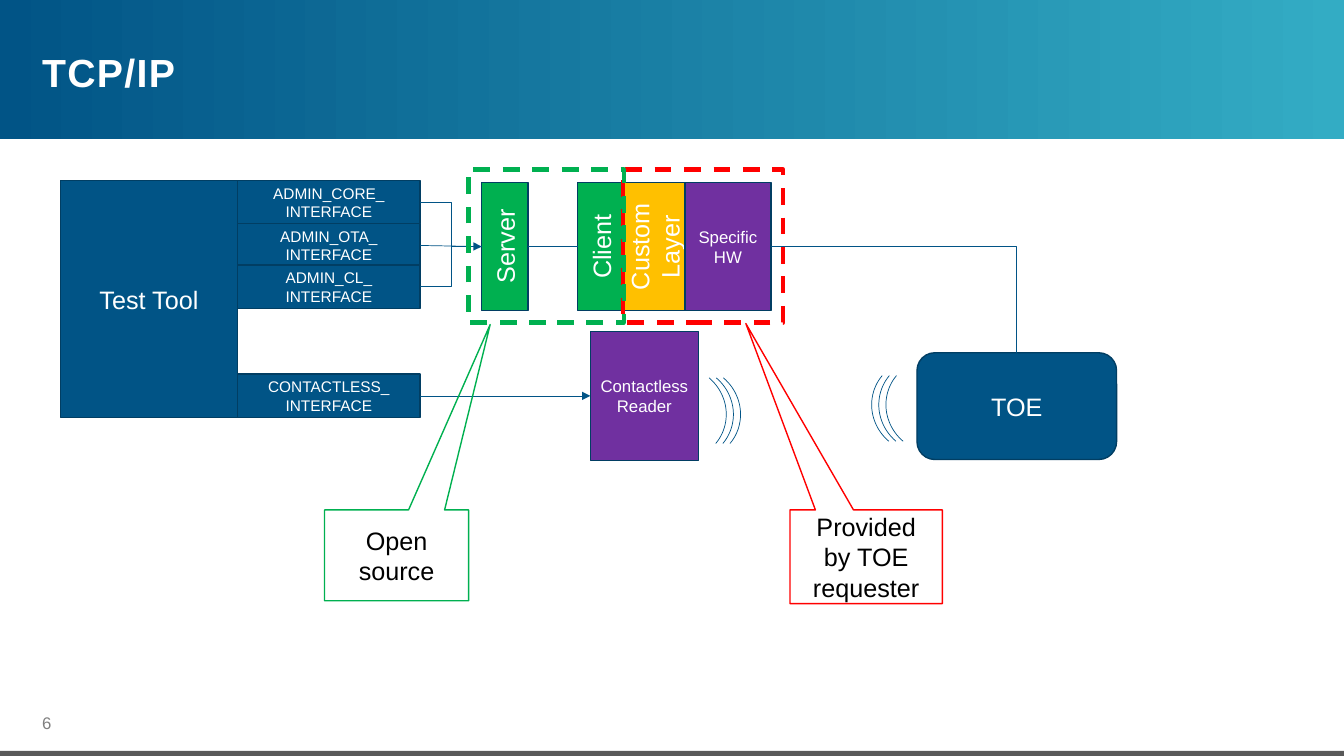
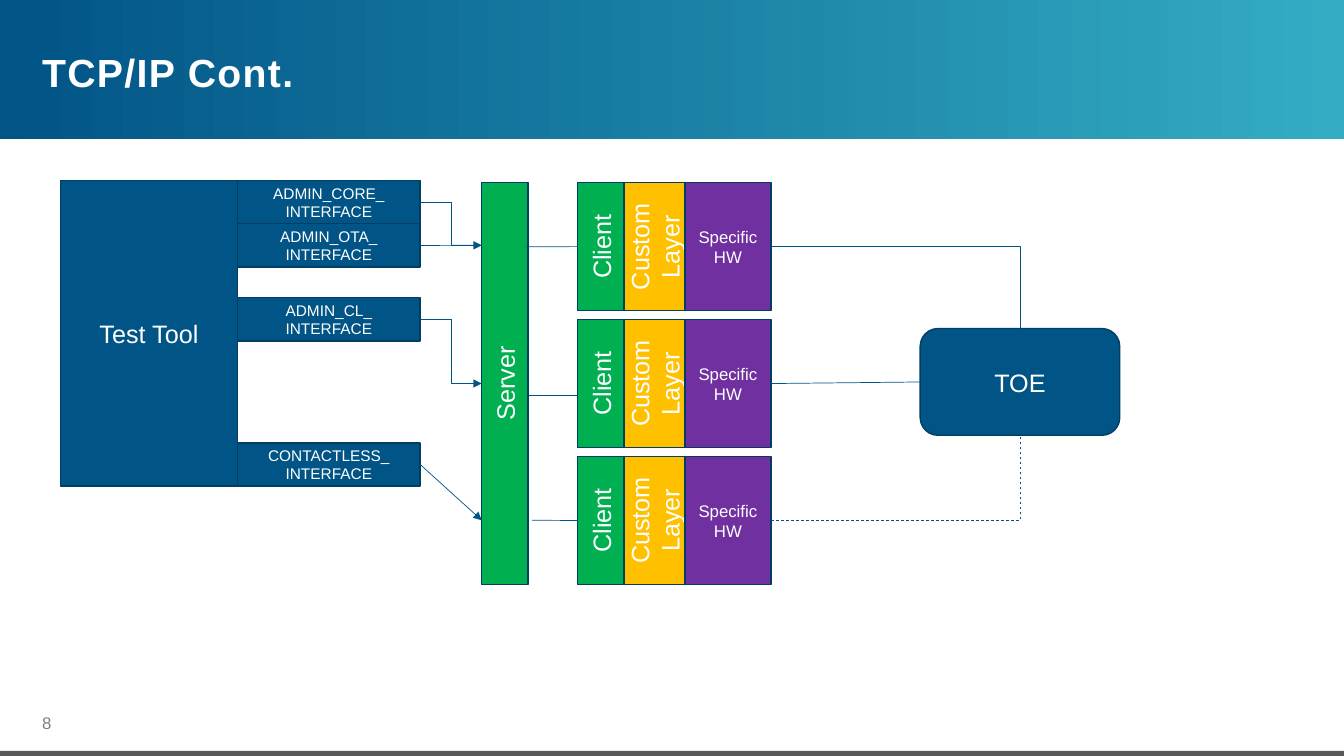
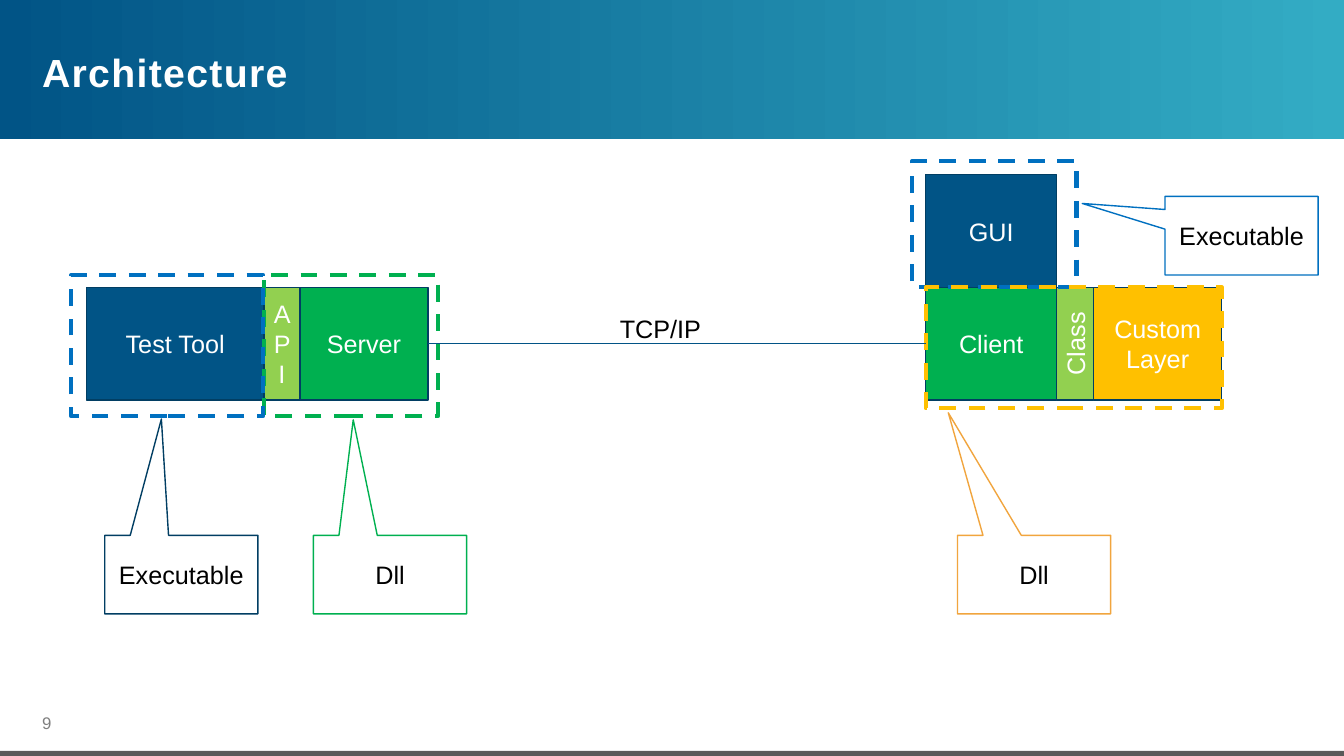
from collections import namedtuple

from lxml import etree
from pptx import Presentation
from pptx import util as u
from pptx.dml.color import RGBColor
from pptx.enum import dml, shapes, text
from pptx.oxml import ns

NAVY = RGBColor(0x01, 0x54, 0x86)
TEAL = RGBColor(0x33, 0xAC, 0xC4)
EDGE = RGBColor(0x01, 0x3E, 0x63)
GREEN = RGBColor(0x00, 0xB0, 0x50)
LIME = RGBColor(0x92, 0xD0, 0x50)
PURPLE = RGBColor(0x70, 0x30, 0xA0)
AMBER = RGBColor(0xFF, 0xC0, 0x00)
ORANGE = RGBColor(0xF1, 0xA5, 0x3E)
RED = RGBColor(0xFF, 0x00, 0x00)
BLUE = RGBColor(0x00, 0x70, 0xC0)
WHITE = RGBColor(0xFF, 0xFF, 0xFF)
BLACK = RGBColor(0x00, 0x00, 0x00)
GREY = RGBColor(0x80, 0x80, 0x80)
DARK_GREY = RGBColor(0x59, 0x59, 0x59)

FONT = "Arial"
PAGE_W, PAGE_H = 33.87, 19.05
PORT_W, PORT_H = 4.6, 1.09
ROW_LEFT, ROW_TOP, ROW_H, ROW_STEP = 14.56, 4.6, 3.23, 3.45
SERVER_LEFT, SERVER_W = 12.14, 1.17
TOP, LEFT, BOTTOM, RIGHT = range(4)

KIND = shapes.MSO_SHAPE
Box = namedtuple("Box", "left top width height")
Part = namedtuple("Part", "label width fill size upright", defaults=(18, False))

CHAIN = [
    Part("Client", 1.17, GREEN, 18, True),
    Part("Custom Layer", 1.53, AMBER, 18, True),
    Part("Specific HW", 2.17, PURPLE, 12),
]


def apply(target, values):
    for name, value in values.items():
        setattr(target, name, value)


def cm(box):
    return [u.Cm(length) for length in box]


def write(shape, label, size, color, align=text.PP_ALIGN.CENTER, bold=False):
    frame = shape.text_frame
    apply(frame, {"text": label, "word_wrap": True,
                  "vertical_anchor": text.MSO_ANCHOR.MIDDLE})
    for paragraph in frame.paragraphs:
        paragraph.alignment = align
        apply(paragraph.font, {"name": FONT, "size": u.Pt(size), "bold": bold})
        paragraph.font.color.rgb = color


def draw(canvas, kind, box, fill=None, line=EDGE, weight=1.0, dash=None):
    shape = canvas.shapes.add_shape(kind, *cm(box))
    shape.shadow.inherit = False
    if fill is None:
        shape.fill.background()
    else:
        shape.fill.solid()
        shape.fill.fore_color.rgb = fill
    if line is None:
        shape.line.fill.background()
    else:
        shape.line.color.rgb = line
        apply(shape.line, {"width": u.Pt(weight), "dash_style": dash})
    return shape


def block(slide, box, label, fill=NAVY, size=18, upright=False, kind=KIND.RECTANGLE):
    shape = draw(slide, kind, box, fill)
    write(shape, label, size, WHITE)
    if upright:
        shape.text_frame._txBody.bodyPr.set("vert", "vert270")
    return shape


def caption(slide, box, label, size, color, **style):
    shape = slide.shapes.add_textbox(*cm(box))
    write(shape, label, size, color, text.PP_ALIGN.LEFT, **style)
    apply(shape.text_frame, dict.fromkeys(
        ("margin_left", "margin_top", "margin_right", "margin_bottom"), 0))
    return shape


def outline(slide, box, color):
    draw(slide, KIND.RECTANGLE, box, None, color, 3, dml.MSO_LINE.DASH)


def callout(slide, box, label, tip, color, fill=None):
    shape = draw(slide, KIND.RECTANGULAR_CALLOUT, box, fill, color)
    shape.adjustments[0], shape.adjustments[1] = tip
    write(shape, label, 18, BLACK)


def side(shape, site):
    x = {LEFT: 0, RIGHT: 1}.get(site, 0.5)
    y = {TOP: 0, BOTTOM: 1}.get(site, 0.5)
    return (round((shape.left + shape.width * x) / u.Cm(1), 2),
            round((shape.top + shape.height * y) / u.Cm(1), 2))


def link(slide, start, end, elbow=None, arrow=False, dash=None):
    ends = [point if isinstance(point[0], (int, float)) else side(*point)
            for point in (start, end)]
    route = shapes.MSO_CONNECTOR.ELBOW if elbow else shapes.MSO_CONNECTOR.STRAIGHT
    wire = slide.shapes.add_connector(route, *cm(ends[0] + ends[1]))
    for point, joined, connect in zip((start, end), ends,
                                      (wire.begin_connect, wire.end_connect)):
        if point is not joined:
            connect(*point)
    wire.line.color.rgb = NAVY
    apply(wire.line, {"width": u.Pt(0.5), "dash_style": dash})
    properties = wire._element.spPr
    if elbow == "corner":
        properties.find(ns.qn("a:prstGeom")).set("prst", "bentConnector2")
    if arrow:
        etree.SubElement(properties.find(ns.qn("a:ln")),
                         ns.qn("a:tailEnd"), type="triangle")
    etree.SubElement(properties, ns.qn("a:effectLst"))


def page(deck, title, number):
    slide = deck.slides.add_slide(deck.slide_layouts[6])
    band = draw(slide, KIND.RECTANGLE, Box(0, 0, PAGE_W, 3.5), NAVY, None)
    band.fill.gradient()
    band.fill.gradient_angle = 0
    for stop, color, position in zip(band.fill.gradient_stops, (NAVY, TEAL), (0, 1)):
        stop.color.rgb = color
        stop.position = position
    draw(slide, KIND.RECTANGLE, Box(0, 18.92, PAGE_W, 0.13), DARK_GREY, None)
    caption(slide, Box(1.06, 17.48, 0.7, 1.47), str(number), 12, GREY)
    heading = caption(slide, Box(1.06, 0.64, 31.75, 2.54), title, 28, WHITE, bold=True)
    paragraph = heading.text_frame.paragraphs[0]
    paragraph.line_spacing = 0.8
    paragraph.runs[0]._r.get_or_add_rPr().set("spc", "100")
    return slide


def test_tool(slide, box, admin_cl_offset):
    block(slide, box, "Test Tool")
    ports = {"ADMIN_CORE_": 0, "ADMIN_OTA_": PORT_H, "ADMIN_CL_": admin_cl_offset,
             "CONTACTLESS_": box.height - PORT_H}
    return [block(slide, Box(box.left + box.width, box.top + offset, PORT_W, PORT_H),
                  f"{name}\nINTERFACE", size=11)
            for name, offset in ports.items()]


def strip(slide, left, top, height, parts):
    blocks = []
    for part in parts:
        blocks.append(block(slide, Box(left, top, part.width, height),
                            part.label, part.fill, part.size, part.upright))
        left += part.width
    return blocks


def server_bar(slide, height):
    return block(slide, Box(SERVER_LEFT, ROW_TOP, SERVER_W, height),
                 "Server", GREEN, upright=True)


def toe(slide, left, top):
    return block(slide, Box(left, top, 5.03, 2.69), "TOE", kind=KIND.ROUNDED_RECTANGLE)


def radio_waves(slide, left, top, rotation):
    waves = slide.shapes.add_group_shape()
    for step in range(3):
        wave = draw(waves, KIND.ARC, Box(left + 0.18 * step, top, 2.39, 2.31),
                    None, NAVY, 0.5)
        wave.rotation = rotation


def single_link_slide(deck):
    slide = page(deck, "TCP/IP", 6)
    core, ota, cl, contactless = test_tool(slide, Box(1.52, 4.55, 4.47, 5.97), 2.13)
    target = toe(slide, 23.11, 8.89)
    client, _, hardware = strip(slide, ROW_LEFT, ROW_TOP, ROW_H, CHAIN)
    server = server_bar(slide, ROW_H)
    reader = block(slide, Box(14.88, 8.35, 2.72, 3.25), "Contactless Reader", PURPLE, 12)

    link(slide, (ota, RIGHT), (server, LEFT), arrow=True)
    for port in (core, cl):
        link(slide, (port, RIGHT), (server, LEFT), elbow="step")
    link(slide, (server, RIGHT), (client, LEFT))
    link(slide, (hardware, RIGHT), (target, TOP), elbow="corner")
    link(slide, (contactless, RIGHT), (reader, LEFT), arrow=True)
    radio_waves(slide, 15.93, 9.25, 40.2)
    radio_waves(slide, 21.95, 9.08, 220.2)

    outline(slide, Box(15.7, 4.27, 4.04, 3.86), RED)
    callout(slide, Box(19.91, 12.85, 3.84, 2.36), "Provided by TOE requester",
            (-0.79, -2.49), RED)
    callout(slide, Box(8.18, 12.85, 3.63, 2.29), "Open source", (0.65, -2.54), GREEN)
    outline(slide, Box(11.81, 4.27, 3.91, 3.86), GREEN)


def triple_link_slide(deck):
    slide = page(deck, "TCP/IP Cont.", 8)
    core, ota, cl, contactless = test_tool(slide, Box(1.52, 4.55, 4.47, 7.7), 2.95)
    target = toe(slide, 23.19, 8.28)
    server = server_bar(slide, 2 * ROW_STEP + ROW_H)
    rows = [strip(slide, ROW_LEFT, ROW_TOP + ROW_STEP * index, ROW_H, CHAIN)
            for index in range(3)]
    clients = [row[0] for row in rows]
    upper, middle, lower = [row[-1] for row in rows]

    link(slide, (ota, RIGHT), (SERVER_LEFT, 6.18), arrow=True)
    link(slide, side(core, RIGHT), (SERVER_LEFT, 6.18), elbow="step")
    link(slide, (cl, RIGHT), (server, LEFT), elbow="step", arrow=True)
    link(slide, (contactless, RIGHT), (SERVER_LEFT, 13.11), arrow=True)

    link(slide, (13.25, 6.22), (clients[0], LEFT))
    link(slide, (13.34, 9.96), (ROW_LEFT, 9.96))
    link(slide, (13.41, 13.11), (clients[2], LEFT))

    link(slide, (upper, RIGHT), (target, TOP), elbow="corner")
    link(slide, (middle, RIGHT), (target, LEFT))
    link(slide, (lower, RIGHT), (target, BOTTOM), elbow="corner", dash=dml.MSO_LINE.DASH)


def architecture_slide(deck):
    slide = page(deck, "Architecture", 9)
    top, height = 7.24, 2.84
    server = strip(slide, 2.18, top, height, [
        Part("Test Tool", 4.47, NAVY),
        Part("API", 0.91, LIME),
        Part("Server", 3.23, GREEN),
    ])[-1]
    client = strip(slide, 23.33, top, height, [
        Part("Client", 3.3, GREEN),
        Part("Class", 0.93, LIME, 18, True),
        Part("Custom Layer", 3.23, AMBER),
    ])[0]
    block(slide, Box(23.33, top - height, 3.3, height), "GUI")

    for box, color in [
        (Box(6.65, 6.93, 4.39, 3.56), GREEN),
        (Box(1.8, 6.93, 4.83, 3.56), BLUE),
        (Box(22.99, 4.06, 4.14, 3.18), BLUE),
        (Box(23.33, 7.24, 7.46, 3.05), AMBER),
    ]:
        outline(slide, box, color)

    for left, note_top, label, tip, color in [
        (2.64, 13.49, "Executable", (-0.13, -1.98), EDGE),
        (7.9, 13.49, "Dll", (-0.24, -1.97), GREEN),
        (29.36, 4.95, "Executable", (-1.04, -0.41), BLUE),
        (24.13, 13.49, "Dll", (-0.56, -2.06), ORANGE),
    ]:
        callout(slide, Box(left, note_top, 3.86, 1.98), label, tip, color, WHITE)

    link(slide, (server, RIGHT), (client, LEFT))
    protocol = caption(slide, Box(15.62, 7.9, 4.85, 1.17), "TCP/IP", 18, BLACK)
    protocol.text_frame.vertical_anchor = text.MSO_ANCHOR.TOP


def main():
    deck = Presentation()
    apply(deck, {"slide_width": u.Cm(PAGE_W), "slide_height": u.Cm(PAGE_H)})
    single_link_slide(deck)
    triple_link_slide(deck)
    architecture_slide(deck)
    deck.save("out.pptx")


if __name__ == "__main__":
    main()
